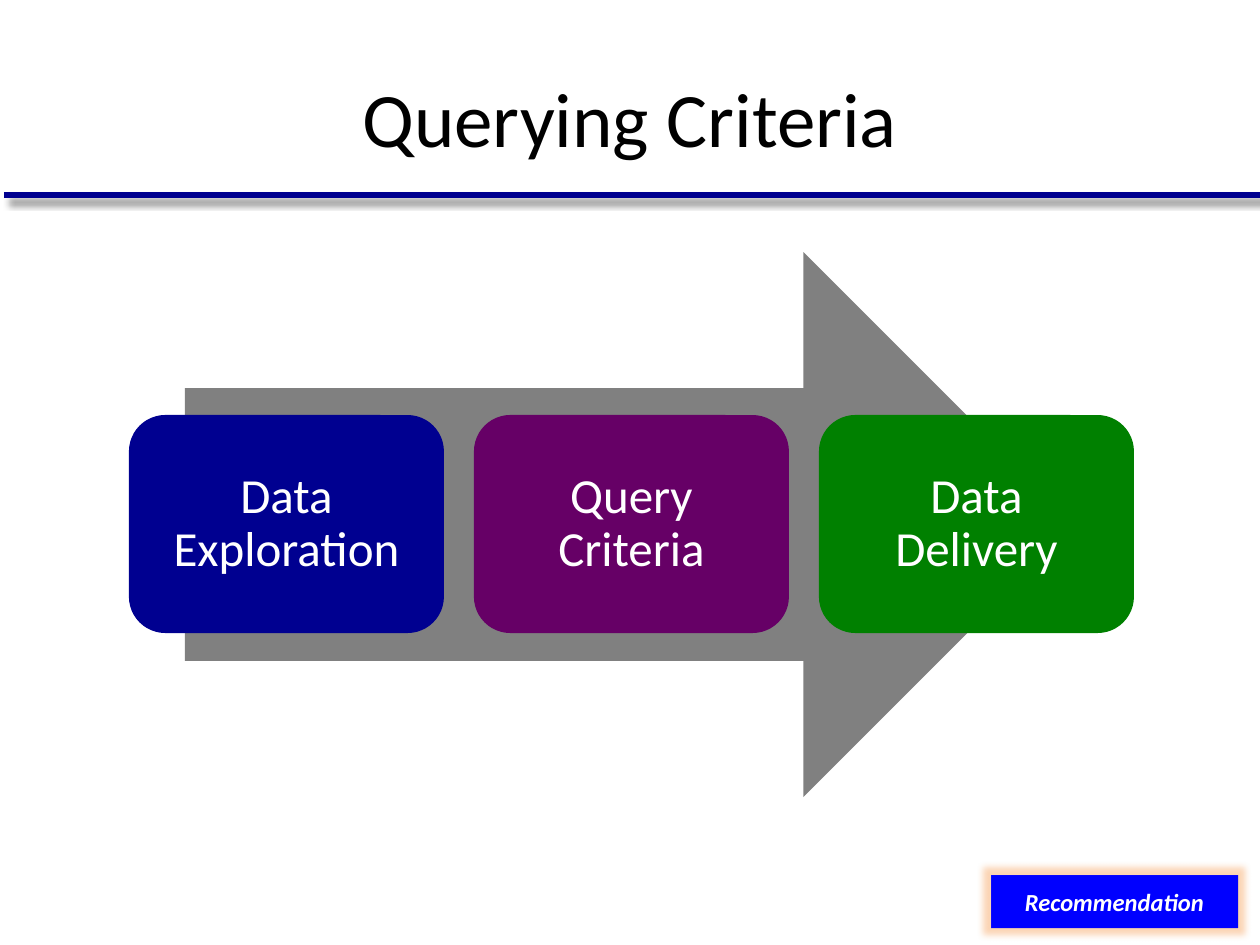
"""Build the Querying Criteria slide: three stages along an arrow."""
from dataclasses import dataclass

from lxml.etree import SubElement
from pptx import Presentation
from pptx.dml.color import RGBColor
from pptx.enum.shapes import MSO_CONNECTOR, MSO_SHAPE
from pptx.enum.text import MSO_ANCHOR, PP_ALIGN
from pptx.oxml.ns import qn
from pptx.util import Emu, Pt

NAVY = RGBColor(0x00, 0x00, 0x90)
PURPLE = RGBColor(0x66, 0x00, 0x66)
GREEN = RGBColor(0x00, 0x80, 0x00)
BLUE = RGBColor(0x00, 0x00, 0xFF)
GRAY = RGBColor(0x80, 0x80, 0x80)
ORANGE = RGBColor(0xF7, 0x96, 0x46)
BLACK = RGBColor(0x00, 0x00, 0x00)
WHITE = RGBColor(0xFF, 0xFF, 0xFF)

FONT = "Calibri"
PIXELS_PER_INCH = 126
STAGE_LEFT, STAGE_TOP, STAGE_WIDTH, STAGE_HEIGHT = 129, 415, 315, 218
STAGE_STEP = 345
STAGE_INSET = 23


@dataclass(frozen=True)
class Stage:
    label: str
    color: RGBColor


STAGES = [
    Stage("Data Exploration", NAVY),
    Stage("Query Criteria", PURPLE),
    Stage("Data Delivery", GREEN),
]


def px(pixels: int) -> Emu:
    """Turn picture pixels into EMU."""
    return Emu(round(pixels * 914400 / PIXELS_PER_INCH))


def write(shape, text: str, color: RGBColor, formats: dict, inset: int | None = None,
          line_spacing: float = 1.0) -> None:
    """Put one centred paragraph into a shape."""
    frame = shape.text_frame
    frame.word_wrap = True
    frame.vertical_anchor = MSO_ANCHOR.MIDDLE
    if inset is not None:
        for side in ("left", "right", "top", "bottom"):
            setattr(frame, f"margin_{side}", px(inset))
    para = frame.paragraphs[0]
    para.alignment = PP_ALIGN.CENTER
    para.line_spacing = line_spacing
    span = para.add_run()
    span.text = text
    span.font.color.rgb = color
    for name, value in ({"name": FONT} | formats).items():
        setattr(span.font, name, value)


def add_filled(page, kind: MSO_SHAPE, bounds: tuple[int, int, int, int],
               color: RGBColor, adjustments: tuple[float, ...]):
    """Add a flat preset shape."""
    shape = page.shapes.add_shape(kind, *map(px, bounds))
    shape.shadow.inherit = False
    shape.fill.solid()
    shape.fill.fore_color.rgb = color
    shape.line.fill.background()
    for index, value in enumerate(adjustments):
        shape.adjustments[index] = value
    return shape


def add_effect(shape, kind: str, color: RGBColor, opacity: int, settings: dict) -> None:
    """Give a shape or connector a glow or shadow."""
    properties = shape._element.spPr
    effects = properties.find(qn("a:effectLst"))
    if effects is None:
        effects = SubElement(properties, qn("a:effectLst"))
    effect = SubElement(effects, qn(f"a:{kind}"),
                        {name: str(value) for name, value in settings.items()})
    tint = SubElement(effect, qn("a:srgbClr"), val=str(color))
    SubElement(tint, qn("a:alpha"), val=str(opacity * 1000))


def add_title(page) -> None:
    """Fill the title and draw the rule below it."""
    title = page.shapes.title
    bounds = {"left": 63, "top": 38, "width": 1134, "height": 157}
    for name, value in bounds.items():
        setattr(title, name, px(value))
    write(title, "Querying Criteria", BLACK, {"size": Pt(44)})
    rule = page.shapes.add_connector(
        MSO_CONNECTOR.STRAIGHT, px(4), px(195), px(1260), px(195))
    rule.line.color.rgb = NAVY
    rule.line.width = Pt(3)
    add_effect(rule, "outerShdw", BLACK, 40,
               {"blurRad": Pt(4), "dist": Pt(5), "dir": 45 * 60000, "rotWithShape": 0})


def add_stages(page) -> None:
    """Draw the arrow and the stages on it."""
    add_filled(page, MSO_SHAPE.RIGHT_ARROW, (185, 252, 891, 545), GRAY, (0.5, 0.5))
    for index, stage in enumerate(STAGES):
        bounds = (STAGE_LEFT + index * STAGE_STEP, STAGE_TOP, STAGE_WIDTH, STAGE_HEIGHT)
        box = add_filled(page, MSO_SHAPE.ROUNDED_RECTANGLE, bounds, stage.color, (0.167,))
        write(box, stage.label, WHITE, {"size": Pt(28)}, STAGE_INSET, 0.9)


def add_recommendation(page) -> None:
    """Draw the glowing tag in the corner."""
    tag = add_filled(page, MSO_SHAPE.BEVEL, (991, 875, 247, 53), BLUE, (0,))
    add_effect(tag, "glow", ORANGE, 40, {"rad": Pt(8)})
    write(tag, "Recommendation", WHITE, {"size": Pt(14), "bold": True, "italic": True})


def main() -> None:
    """Build and save the deck."""
    deck = Presentation()
    deck.slide_width, deck.slide_height = px(1260), px(945)
    page = deck.slides.add_slide(deck.slide_layouts[5])
    add_title(page)
    add_stages(page)
    add_recommendation(page)
    deck.save("out.pptx")


main()
